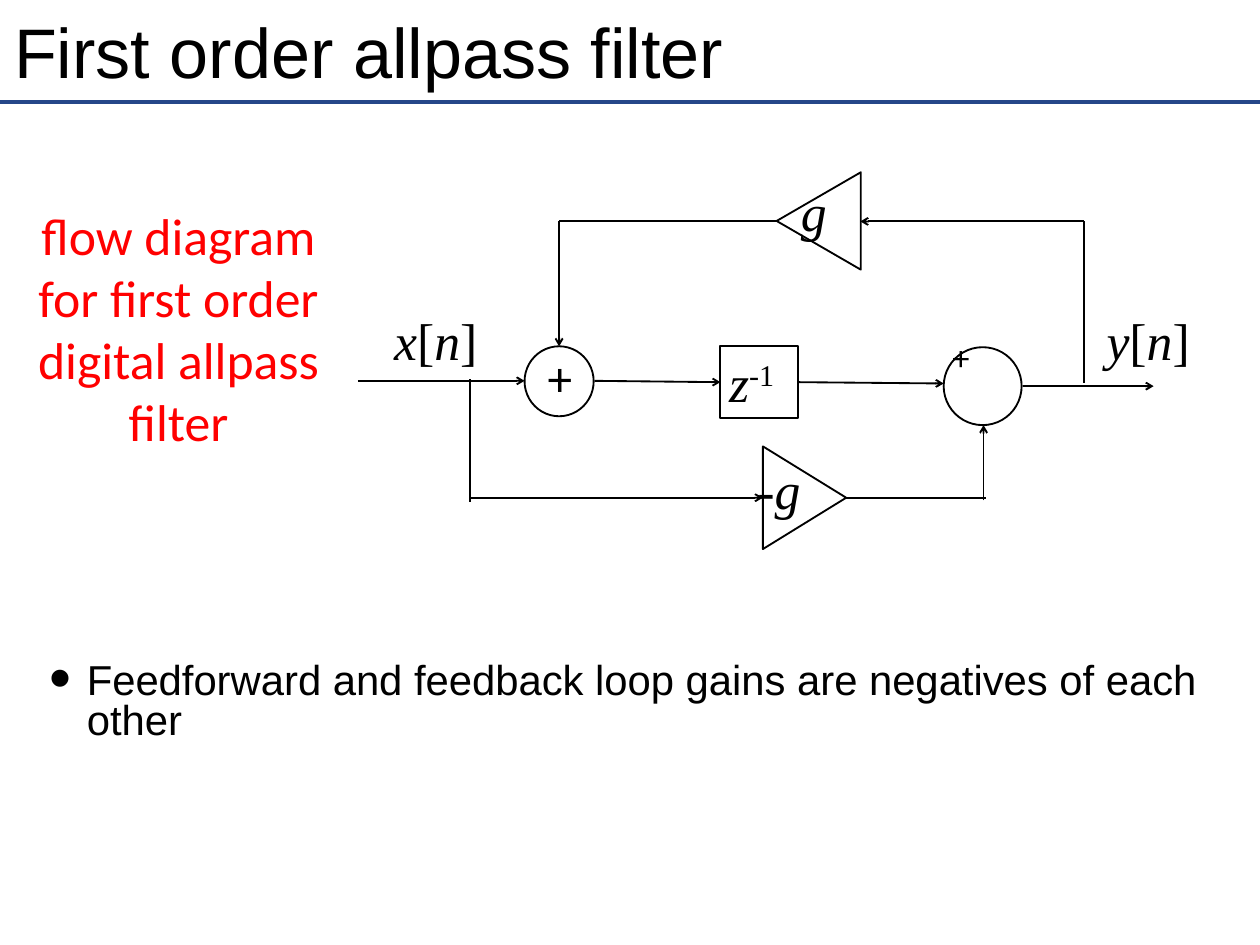
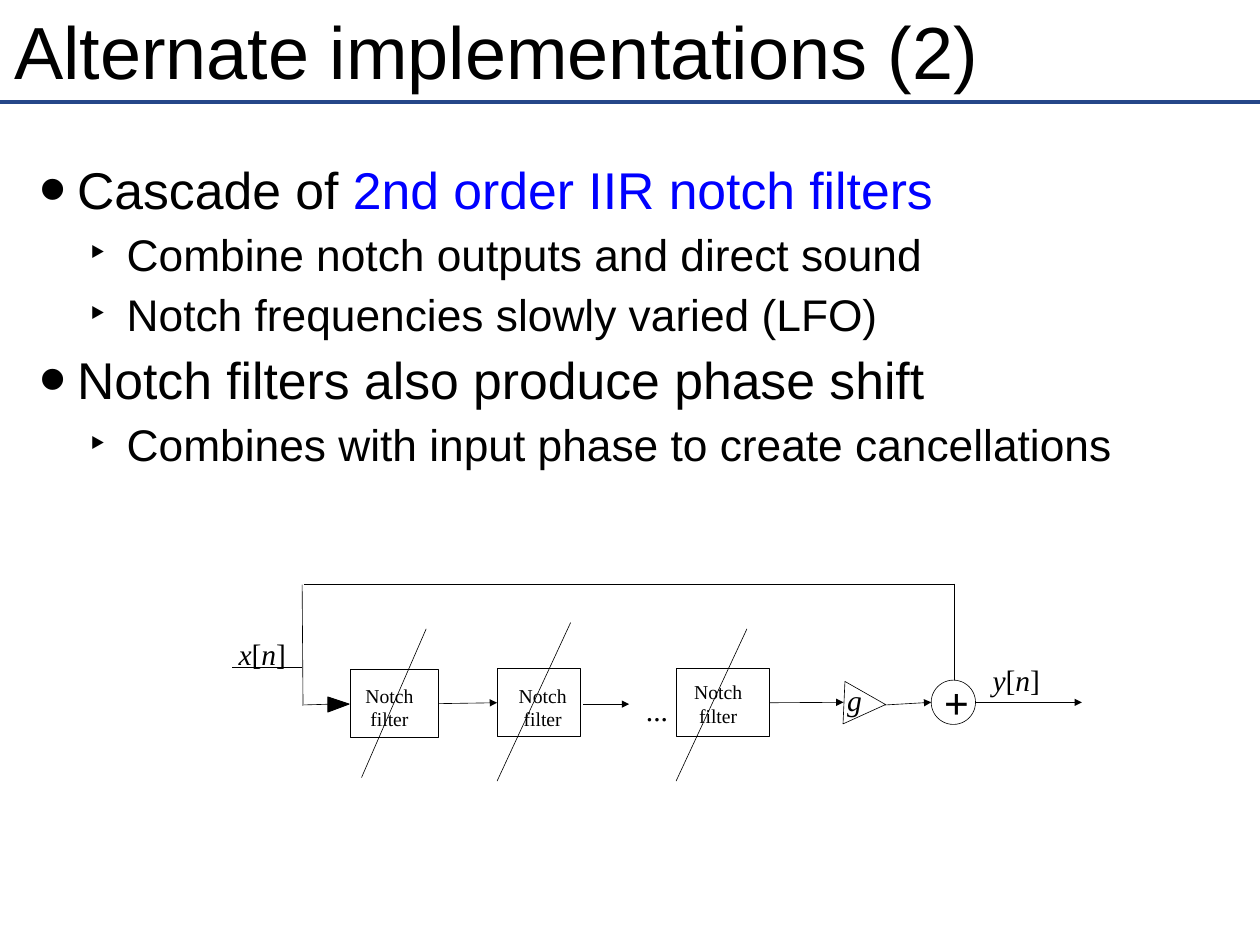
from pptx import Presentation
from pptx.dml.color import RGBColor
from pptx.enum.shapes import MSO_CONNECTOR, MSO_SHAPE
from pptx.enum.text import MSO_ANCHOR, MSO_AUTO_SIZE, PP_ALIGN
from pptx.oxml.ns import qn
from pptx.util import Inches, Pt
from lxml.etree import SubElement

ink = RGBColor.from_string
BLACK, WHITE, NAVY, RED, BLUE = "000000", "FFFFFF", "254789", "FF0000", "0000FF"
SANS, SERIF, PLAIN = "Arial", "Times New Roman", "Calibri"
LEFT, MID = PP_ALIGN.LEFT, PP_ALIGN.CENTER


def write(shape, text, size, face, color=BLACK, align=MID,
          anchor=MSO_ANCHOR.TOP, inset=(0.1, 0.05), wrap=False, grow=True):
    frame = shape.text_frame
    frame.word_wrap = wrap
    frame.auto_size = MSO_AUTO_SIZE.SHAPE_TO_FIT_TEXT if grow else MSO_AUTO_SIZE.NONE
    frame.vertical_anchor = anchor
    frame.margin_left = frame.margin_right = Inches(inset[0])
    frame.margin_top = frame.margin_bottom = Inches(inset[1])
    frame.text = text.replace("|", "")
    for para, line in zip(frame.paragraphs, text.split("\n")):
        para.alignment = align
        first, *rest = line.split("|")
        para.runs[0].text = first
        for part in rest:
            para.add_run().text = part
        for run in para.runs:
            run.font.size = Pt(size)
            run.font.name = face
            run.font.color.rgb = ink(color)
    return frame


def wire(page, ends, width, tip=None, color=BLACK):
    line = page.shapes.add_connector(MSO_CONNECTOR.STRAIGHT, *map(Inches, ends))
    line.line.width = Pt(width)
    line.line.color.rgb = ink(color)
    if tip:
        SubElement(line._element.spPr.find(qn("a:ln")), qn("a:tailEnd"), type=tip)
    SubElement(line._element.spPr, qn("a:effectLst"))
    return line


deck = Presentation()
deck.slide_width, deck.slide_height = Inches(14.22), Inches(10.67)

pages = []
for title, size in [("First order allpass filter", 57), ("Alternate implementations (2)", 60)]:
    page = deck.slides.add_slide(deck.slide_layouts[6])
    wire(page, (0, 1.15, 14.22, 1.15), 3, color=NAVY)
    box = page.shapes.add_textbox(*map(Inches, (0.1, 0.06, 14.01, 1.01)))
    write(box, title, size, SANS, align=LEFT, anchor=MSO_ANCHOR.MIDDLE,
          inset=(0.06, 0.06), wrap=True, grow=False)
    pages.append(page)
allpass, notch = pages

bodies = [
    (allpass, (0.28, 5.22, 13.44, 5.44), 0.8, 0.64, [
        (0, 34, "Feedforward and feedback loop gains are negatives of each other")]),
    (notch, (0.12, 1.24, 14.01, 4.61), 1.0, 0.69, [
        (0, 42, "Cascade of |2nd order IIR notch filters"),
        (1, 36, "Combine notch outputs and direct sound"),
        (1, 36, "Notch frequencies slowly varied (LFO)"),
        (0, 42, "Notch filters also produce phase shift"),
        (1, 36, "Combines with input phase to create cancellations")]),
]
for page, place, pitch, left, items in bodies:
    box = page.shapes.add_textbox(*map(Inches, place))
    frame = write(box, "\n".join(text for _, _, text in items), 42, SANS,
                  align=LEFT, anchor=MSO_ANCHOR.MIDDLE,
                  inset=(0.06, 0.06), wrap=True, grow=False)
    for row, (para, (level, size, _)) in enumerate(zip(frame.paragraphs, items)):
        props = para._p.get_or_add_pPr()
        props.set("marL", str(Inches(left + 0.56 * level)))
        props.set("indent", str(Inches(-0.42)))
        SubElement(props, qn("a:buSzPct"), val="100000" if level else "150000")
        SubElement(props, qn("a:buFont"), typeface=SANS)
        SubElement(props, qn("a:buChar"), char="•‣"[level])
        para.level = level
        para.line_spacing = pitch
        para.space_before = Pt(6 if row else 0)
        for run in para.runs:
            run.font.size = Pt(size)
        for run in para.runs[1:]:
            run.font.color.rgb = ink(BLUE)

RECT, OVAL, CONE = MSO_SHAPE.RECTANGLE, MSO_SHAPE.OVAL, MSO_SHAPE.ISOSCELES_TRIANGLE
parts = {}
for name, page, kind, place, turn, width, fill in [
    ("sum out", allpass, OVAL, (10.65, 3.92, 0.88, 0.88), 0, 1.5, None),
    ("delay", allpass, RECT, (8.13, 3.91, 0.88, 0.81), 0, 1.5, None),
    ("gain back", allpass, CONE, (8.69, 2.02, 1.1, 0.95), 270, 1.5, None),
    ("sum in", allpass, OVAL, (5.92, 3.91, 0.78, 0.79), 0, 1.5, None),
    ("gain on", allpass, CONE, (8.5, 5.15, 1.16, 0.94), 90, 1.5, None),
    ("notch 1", notch, RECT, (3.95, 7.56, 1, 0.77), 0, 0.75, WHITE),
    ("notch 2", notch, RECT, (5.61, 7.55, 0.94, 0.77), 0, 0.75, WHITE),
    ("notch 3", notch, RECT, (7.63, 7.55, 1.06, 0.77), 0, 0.75, WHITE),
    ("sum", notch, OVAL, (10.51, 7.68, 0.5, 0.5), 0, 0.5, WHITE),
    ("gain", notch, CONE, (9.52, 7.71, 0.48, 0.47), 92.6, 0.5, None),
]:
    part = page.shapes.add_shape(kind, *map(Inches, place))
    part.shadow.inherit = False
    part.rotation = turn
    part.line.width = Pt(width)
    part.line.color.rgb = ink(BLACK)
    if fill:
        part.fill.solid()
        part.fill.fore_color.rgb = ink(fill)
    else:
        part.fill.background()
    parts[name] = part

for ends in [
    (5.3, 4.28, 5.3, 5.67), (9.55, 5.62, 11.13, 5.62),
    (12.23, 2.5, 12.23, 4.33), (6.31, 2.5, 8.76, 2.5),
]:
    wire(allpass, ends, 1.5)
for ends in [
    (4.04, 4.3, 5.92, 4.3), (5.3, 5.62, 8.61, 5.62), (11.54, 4.36, 13.02, 4.36),
    (11.1, 5.65, 11.1, 4.8), (12.23, 2.5, 9.71, 2.5), (6.31, 2.5, 6.31, 3.91),
]:
    wire(allpass, ends, 1.5, "arrow")
for ends in [
    (3.41, 6.6, 3.42, 7.95), (2.62, 7.54, 3.41, 7.54), (3.41, 7.96, 3.76, 7.95),
    (3.43, 6.6, 10.77, 6.6), (10.77, 6.59, 10.77, 7.68),
    (4.08, 8.78, 4.81, 7.1), (5.61, 8.82, 6.44, 7.03), (7.63, 8.82, 8.43, 7.1),
]:
    wire(notch, ends, 0.5)
for ends in [
    (6.58, 7.95, 7.1, 7.95), (9.99, 7.96, 10.51, 7.93), (11.01, 7.93, 12.21, 7.93),
]:
    wire(notch, ends, 0.5, "triangle")

for page, ends, width, tip, start, stop in [
    (allpass, (6.71, 4.3, 8.13, 4.32), 1.5, "arrow", None, "delay"),
    (allpass, (9.01, 4.32, 10.65, 4.33), 1.5, "arrow", "delay", None),
    (notch, (4.95, 7.93, 5.61, 7.93), 0.5, "triangle", "notch 1", "notch 2"),
    (notch, (8.69, 7.93, 9.52, 7.93), 0.5, "triangle", "notch 3", None),
]:
    line = wire(page, ends, width, tip)
    if start:
        line.begin_connect(parts[start], 3)
    if stop:
        line.end_connect(parts[stop], 1)

pen = notch.shapes.build_freeform(Inches(3.94), Inches(7.95))
pen.add_line_segments([(Inches(3.7), Inches(8.04)), (Inches(3.7), Inches(7.87))], close=True)
wedge = pen.convert_to_shape()
wedge.shadow.inherit = False
wedge.fill.solid()
wedge.fill.fore_color.rgb = ink(BLACK)
wedge.line.width = Pt(0)
wedge.line.color.rgb = ink(BLACK)

box = allpass.shapes.add_textbox(*map(Inches, (0, 2.22, 4.03, 2.97)))
write(box, "flow diagram for first order digital allpass filter", 42, PLAIN, RED,
      anchor=MSO_ANCHOR.MIDDLE, inset=(0.14, 0.07), wrap=True)

frame = write(parts["delay"], "z|-1", 42, SERIF, align=LEFT)
base, power = frame.paragraphs[0].runs
base.font.italic = True
power._r.get_or_add_rPr().set("baseline", "30000")

for page, text, place, size, align, inset in [
    (allpass, "x|[|n|]", (4.35, 3.44, 1.24, 0.81), 42, LEFT, (0.1, 0.05)),
    (allpass, "y|[|n|]", (12.39, 3.44, 1.24, 0.81), 42, LEFT, (0.1, 0.05)),
    (allpass, "g", (8.94, 1.98, 0.56, 0.81), 42, LEFT, (0.1, 0.05)),
    (allpass, "-g", (8.45, 5.12, 0.82, 0.81), 42, LEFT, (0.1, 0.05)),
    (notch, "x|[|n|]", (2.69, 7.18, 0.54, 0.4), 24, MID, (0, 0)),
    (notch, "y|[|n|]", (11.2, 7.47, 0.54, 0.4), 24, MID, (0, 0)),
    (notch, "g", (9.56, 7.7, 0.17, 0.4), 24, MID, (0, 0)),
]:
    box = page.shapes.add_textbox(*map(Inches, place))
    frame = write(box, text, size, SERIF, align=align, inset=inset)
    for run in frame.paragraphs[0].runs[::2]:
        run.font.italic = True

for place, size, align, wrap in [
    ((10.65, 3.75, 0.8, 1.14), 28, LEFT, False),
    ((5.92, 3.87, 0.8, 0.77), 40, MID, True),
]:
    box = allpass.shapes.add_textbox(*map(Inches, place))
    write(box, "+", size, PLAIN, align=align, wrap=wrap)

for text, place, size, bold in [
    ("Notch\nfilter", (4.12, 7.72, 0.55, 0.54), 16, False),
    ("Notch\nfilter", (5.85, 7.72, 0.55, 0.54), 16, False),
    ("Notch\nfilter", (7.83, 7.68, 0.55, 0.54), 16, False),
    ("...", (7.29, 7.81, 0.25, 0.4), 24, False),
    ("+", (10.65, 7.62, 0.29, 0.61), 36, True),
]:
    box = notch.shapes.add_textbox(*map(Inches, place))
    frame = write(box, text, size, SERIF, inset=(0, 0))
    for para in frame.paragraphs:
        para.runs[0].font.bold = bold

deck.save("out.pptx")
